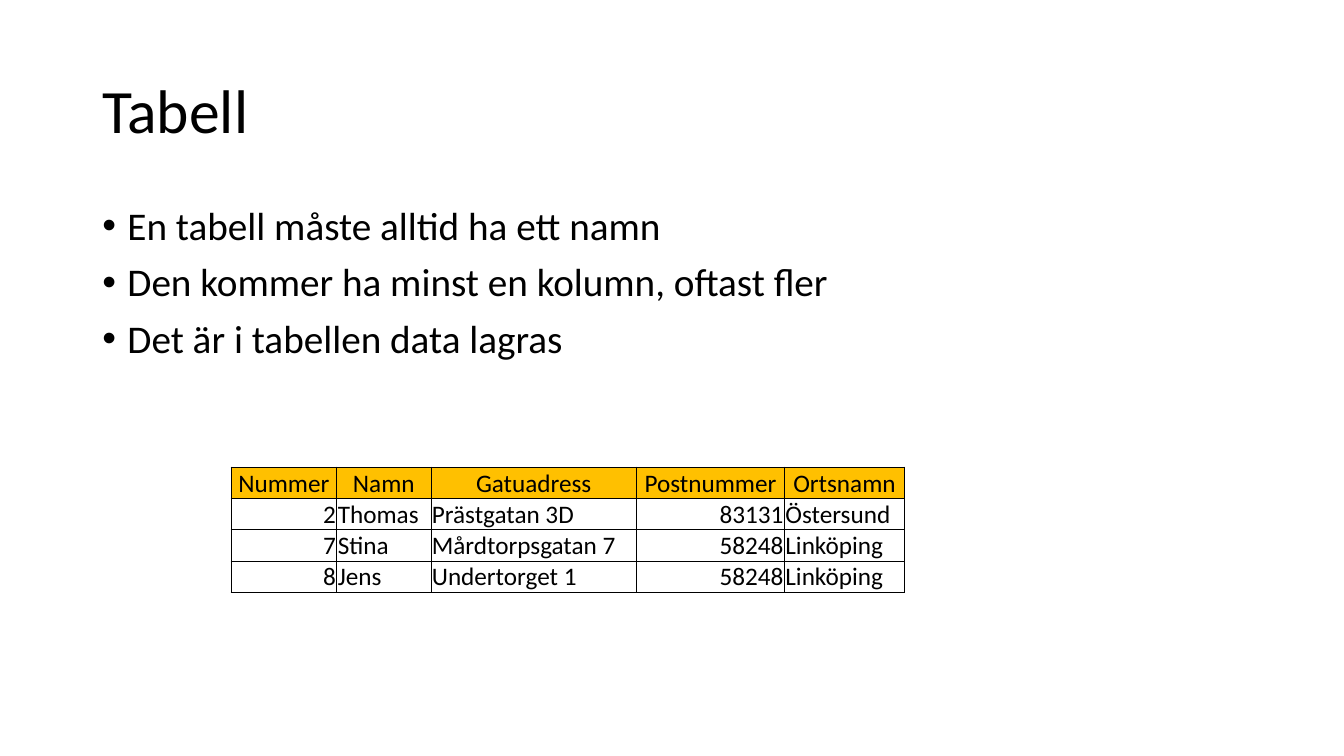
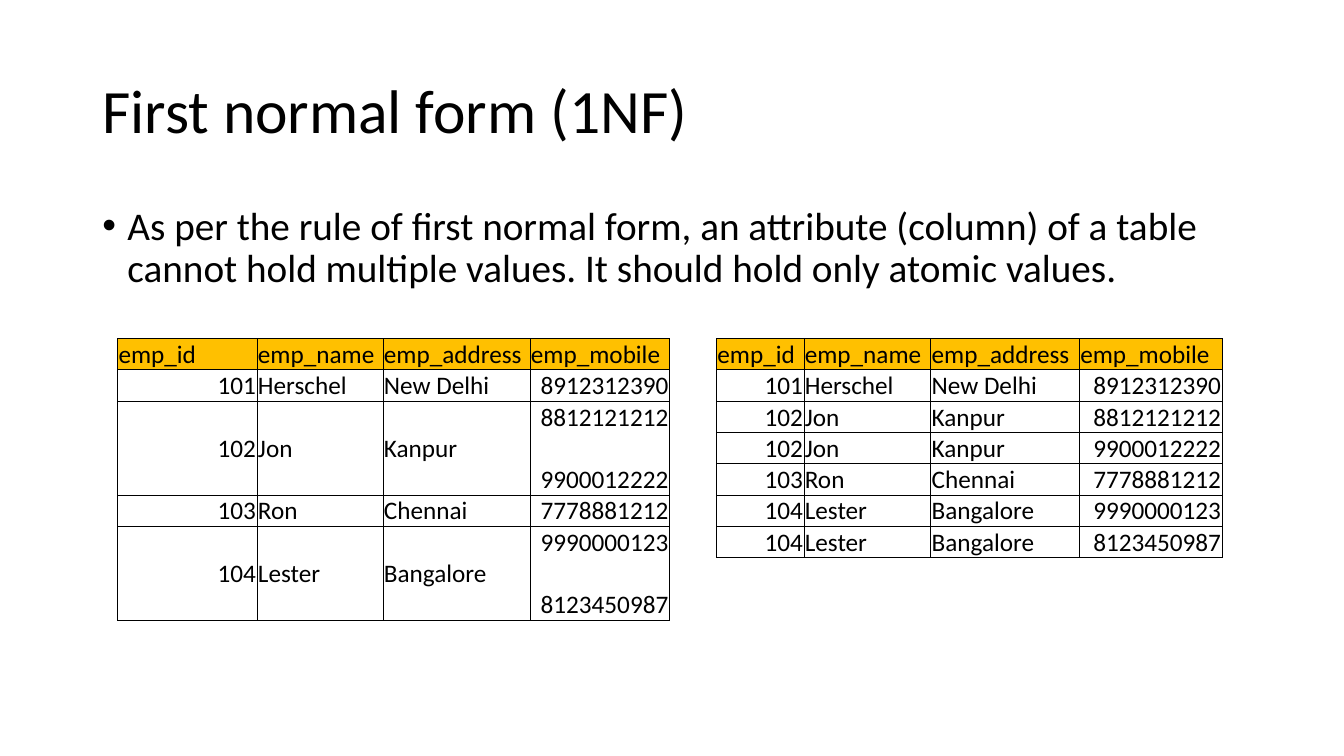
"""Builds two slides on database tables and the first normal form."""
from dataclasses import dataclass

from pptx import Presentation
from pptx.dml.color import RGBColor
from pptx.enum.text import MSO_ANCHOR, PP_ALIGN
from pptx.oxml.ns import qn
from pptx.slide import Slide
from pptx.table import _Cell
from pptx.text.text import _Paragraph
from pptx.util import Inches, Length, Pt
from lxml.etree import SubElement

GRID_UNIT = 1 / 12
FONT = "Calibri"
INK = "000000"
HEADER_FILL = "FFC000"
ROW_HEIGHT = 3.72
EDGES = ("L", "R", "T", "B")


@dataclass(frozen=True)
class Area:
    """A place on the page, in grid columns and rows."""
    column: float
    row: float
    columns: float
    rows: float


@dataclass(frozen=True)
class DataTable:
    """A bordered table; spans name first and last rows that belong together."""
    column: float
    row: float
    widths: tuple[float, ...]
    records: list[tuple[str, ...]]
    header_align: PP_ALIGN = PP_ALIGN.LEFT
    spans: tuple[tuple[int, int], ...] = ()


@dataclass(frozen=True)
class Employee:
    """An employee who may have several mobile numbers."""
    number: str
    name: str
    address: str
    mobiles: tuple[str, ...]


TITLE_AREA = Area(11, 4.8, 138, 17.4)
BODY_AREA = Area(11, 24, 138, 57.1)

ADDRESSES = [
    ("Nummer", "Namn", "Gatuadress", "Postnummer", "Ortsnamn"),
    ("2", "Thomas", "Prästgatan 3D", "83131", "Östersund"),
    ("7", "Stina", "Mårdtorpsgatan 7", "58248", "Linköping"),
    ("8", "Jens", "Undertorget 1", "58248", "Linköping"),
]
EMPLOYEE_HEADER = ("emp_id", "emp_name", "emp_address", "emp_mobile")
EMPLOYEES = [
    Employee("101", "Herschel", "New Delhi", ("8912312390",)),
    Employee("102", "Jon", "Kanpur", ("8812121212", "9900012222")),
    Employee("103", "Ron", "Chennai", ("7778881212",)),
    Employee("104", "Lester", "Bangalore", ("9990000123", "8123450987")),
]


def grid(units: float) -> Length:
    """Turn grid units into a length."""
    return Inches(units * GRID_UNIT)


def color(value: str) -> RGBColor:
    """Turn a hex string into a colour."""
    return RGBColor.from_string(value)


def write(para: _Paragraph, text: str, *, size: float,
          align: PP_ALIGN | None = None, line_spacing: float | None = None,
          space_before: float = 0, bullet: bool = False) -> None:
    """Write formatted text into a paragraph."""
    if bullet:
        properties = para._p.get_or_add_pPr()
        properties.set("marL", str(Inches(0.25)))
        properties.set("indent", str(-Inches(0.25)))
        SubElement(properties, qn("a:buFont")).set("typeface", "Arial")
        SubElement(properties, qn("a:buChar")).set("char", "•")
    para.alignment = align
    para.line_spacing = line_spacing
    para.space_before = Pt(space_before)
    span = para.add_run()
    span.text = text
    span.font.name = FONT
    span.font.size = Pt(size)
    span.font.color.rgb = color(INK)


def add_text(page: Slide, area: Area, lines: list[str], *, size: float,
             anchor: MSO_ANCHOR = MSO_ANCHOR.TOP, bullet: bool = False) -> None:
    """Add a text box with one paragraph for each line."""
    box = page.shapes.add_textbox(grid(area.column), grid(area.row),
                                  grid(area.columns), grid(area.rows))
    frame = box.text_frame
    frame.word_wrap = True
    frame.vertical_anchor = anchor
    for index, line in enumerate(lines):
        para = frame.add_paragraph() if index else frame.paragraphs[0]
        write(para, line, size=size, line_spacing=0.9, bullet=bullet,
              space_before=10 if index else 0)


def set_borders(cell: _Cell, open_edges: set[str]) -> None:
    """Draw thin cell borders except on the open edges."""
    properties = cell._tc.get_or_add_tcPr()
    for edge in EDGES:
        line = SubElement(properties, qn(f"a:ln{edge}"))
        line.set("w", str(Pt(0.5)))
        if edge in open_edges:
            SubElement(line, qn("a:noFill"))
        else:
            fill = SubElement(line, qn("a:solidFill"))
            SubElement(fill, qn("a:srgbClr")).set("val", INK)


def find_open_edges(spans: tuple[tuple[int, int], ...], row: int) -> set[str]:
    """Find the edges that a row shares with others in its span."""
    edges = set()
    for first, last in spans:
        if first < row <= last:
            edges.add("T")
        if first <= row < last:
            edges.add("B")
    return edges


def add_data_table(page: Slide, data: DataTable) -> None:
    """Add a table with a coloured header and right-aligned numbers."""
    count = len(data.records)
    table = page.shapes.add_table(
        count, len(data.widths), grid(data.column), grid(data.row),
        grid(sum(data.widths)), grid(ROW_HEIGHT * count)).table
    table.first_row = False
    table.horz_banding = False
    for column, width in zip(table.columns, data.widths):
        column.width = grid(width)
    last_column = len(data.widths) - 1
    for row, record in enumerate(data.records):
        table.rows[row].height = grid(ROW_HEIGHT)
        for column, text in enumerate(record):
            cell = table.cell(row, column)
            cell.margin_left = cell.margin_right = cell.margin_top = Inches(0.01)
            cell.margin_bottom = 0
            cell.vertical_anchor = MSO_ANCHOR.MIDDLE
            set_borders(cell, find_open_edges(data.spans, row)
                        if column == last_column else set())
            if row == 0:
                cell.fill.solid()
                cell.fill.fore_color.rgb = color(HEADER_FILL)
            else:
                cell.fill.background()
            if text:
                align = PP_ALIGN.RIGHT if text.isdigit() else PP_ALIGN.LEFT
                write(cell.text_frame.paragraphs[0], text, size=18,
                      align=align if row else data.header_align)
    for first, last in data.spans:
        for column in range(last_column):
            table.cell(first, column).merge(table.cell(last, column))


def list_atomic() -> list[tuple[str, ...]]:
    """List one record for each mobile number."""
    return [EMPLOYEE_HEADER] + [
        (person.number, person.name, person.address, mobile)
        for person in EMPLOYEES for mobile in person.mobiles]


def list_grouped() -> tuple[list[tuple[str, ...]], tuple[tuple[int, int], ...]]:
    """List each employee once, with an empty row between mobile numbers."""
    records = [EMPLOYEE_HEADER]
    spans = []
    for person in EMPLOYEES:
        first = len(records)
        records.append((person.number, person.name, person.address, person.mobiles[0]))
        for mobile in person.mobiles[1:]:
            records += [("", "", "", ""), ("", "", "", mobile)]
        if len(records) - first > 1:
            spans.append((first, len(records) - 1))
    return records, tuple(spans)


def add_page(deck: Presentation, title: str, points: list[str],
             tables: list[DataTable]) -> None:
    """Add a page with a title, bullet points and tables."""
    page = deck.slides.add_slide(deck.slide_layouts[6])
    add_text(page, TITLE_AREA, [title], size=44, anchor=MSO_ANCHOR.MIDDLE)
    add_text(page, BODY_AREA, points, size=28, bullet=True)
    for data in tables:
        add_data_table(page, data)


def main() -> None:
    """Build and save the deck."""
    deck = Presentation()
    deck.slide_width = grid(160)
    deck.slide_height = grid(90)
    add_page(deck, "Tabell", [
        "En tabell måste alltid ha ett namn",
        "Den kommer ha minst en kolumn, oftast fler",
        "Det är i tabellen data lagras",
    ], [DataTable(27.5, 55.6, (12.6, 11.2, 24.5, 17.6, 14.3), ADDRESSES,
                  header_align=PP_ALIGN.CENTER)])
    grouped, spans = list_grouped()
    add_page(deck, "First normal form (1NF)", [
        "As per the rule of first normal form, an attribute (column) of a table "
        "cannot hold multiple values. It should hold only atomic values.",
    ], [
        DataTable(85.3, 40.3, (10.4, 15.1, 17.7, 17), list_atomic()),
        DataTable(14, 40.3, (16.6, 15, 17.5, 16.6), grouped, spans=spans),
    ])
    deck.save("out.pptx")


if __name__ == "__main__":
    main()
